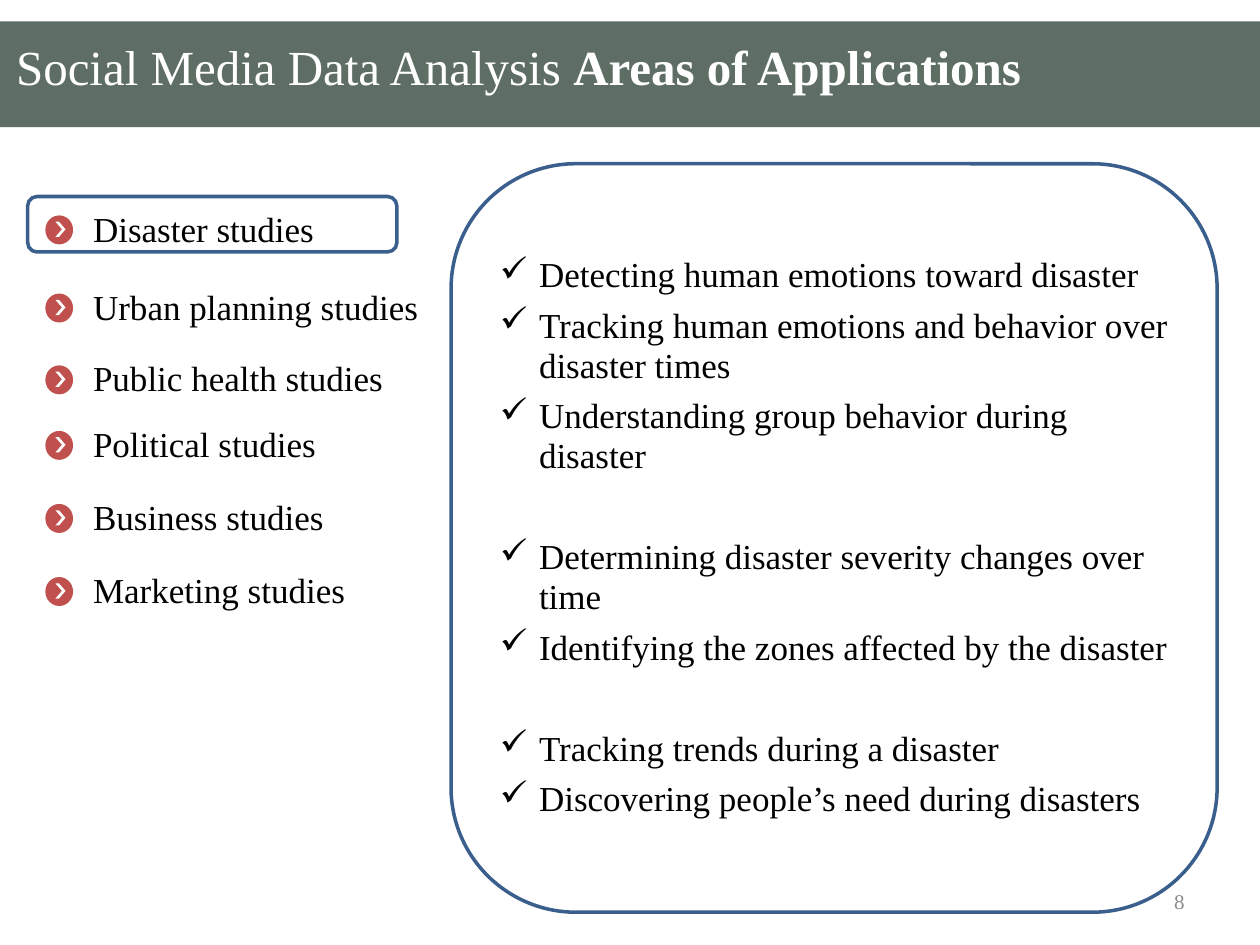
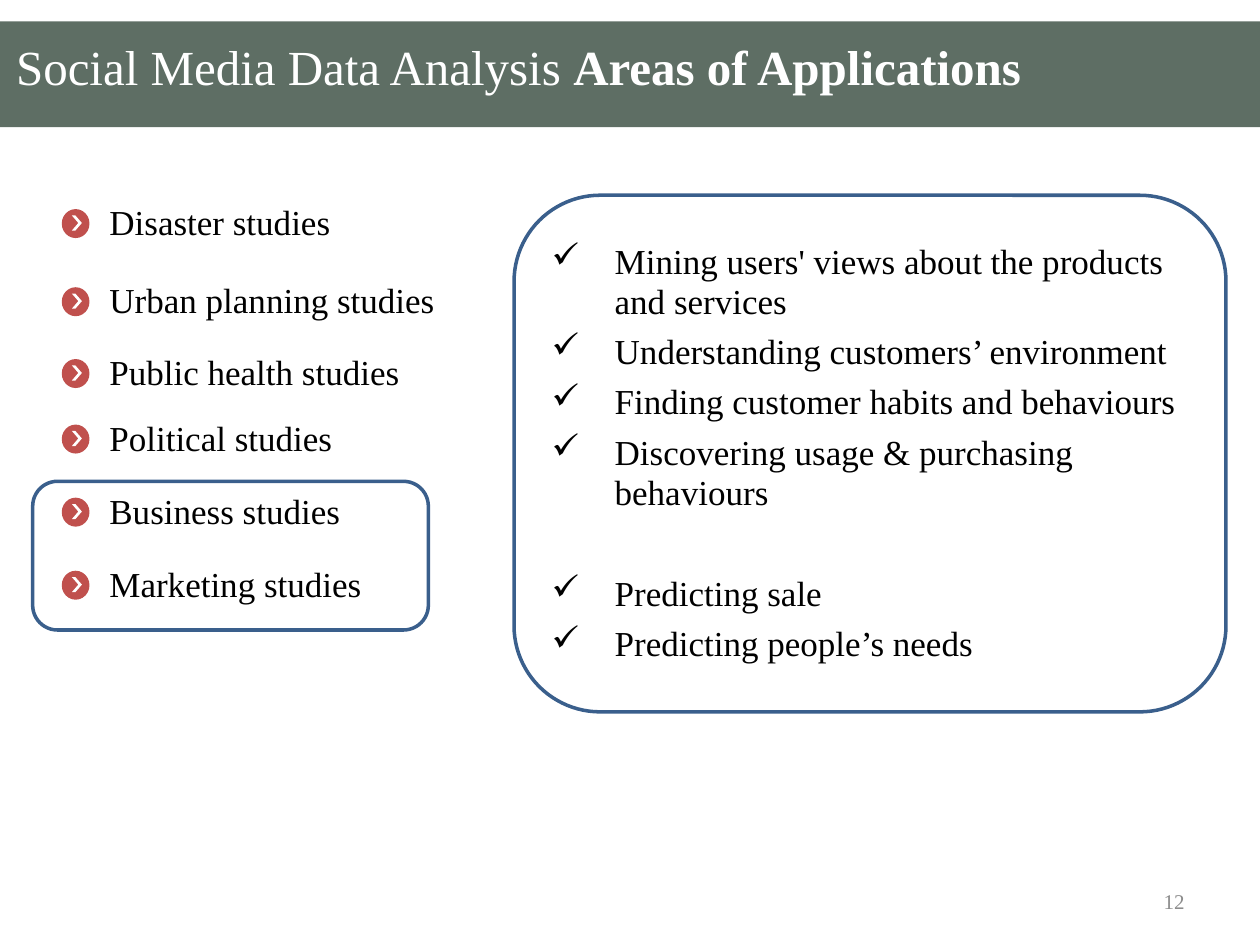
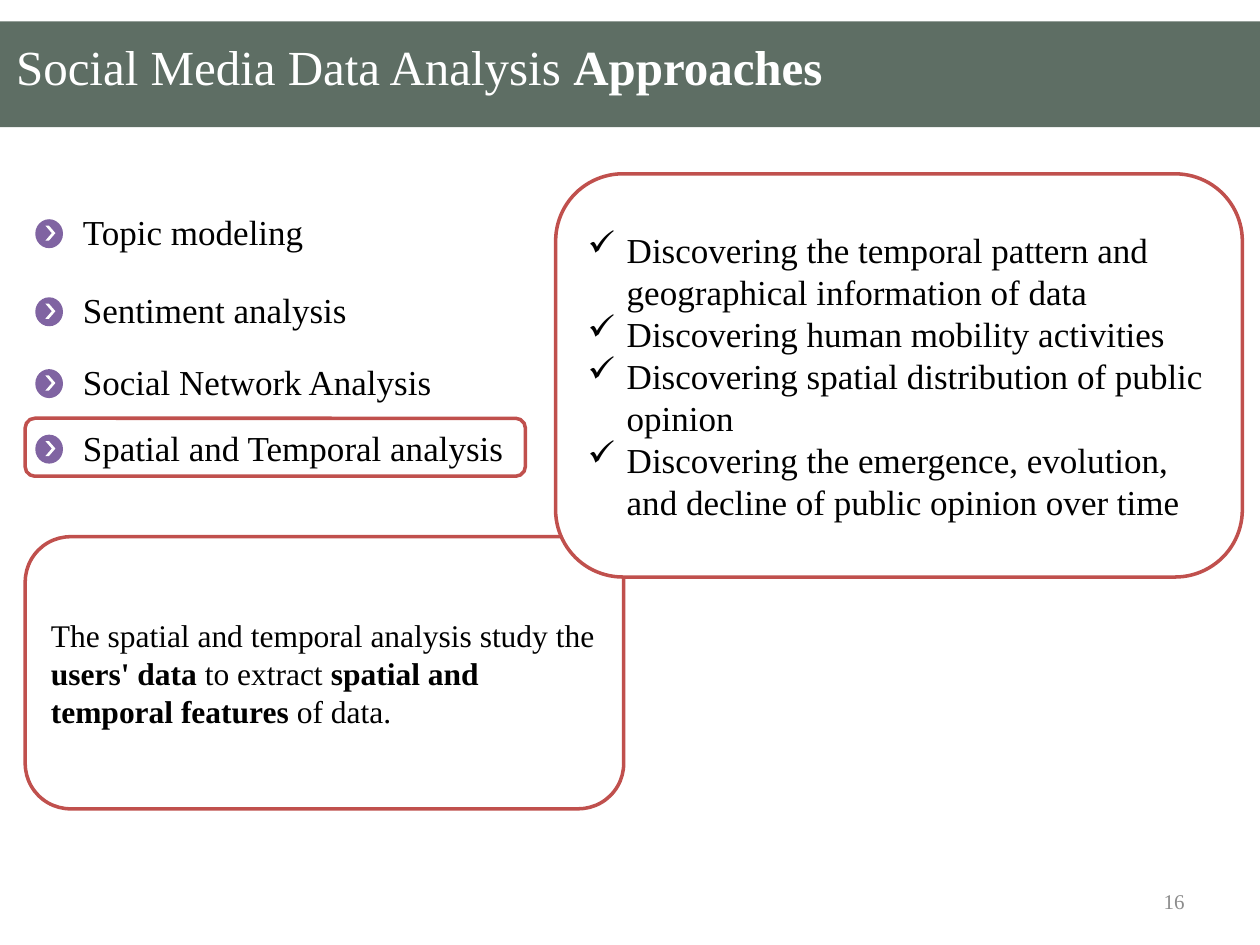
from lxml import etree
from pptx import Presentation
from pptx.dml.color import RGBColor
from pptx.enum.shapes import MSO_SHAPE as SHAPE
from pptx.enum.text import MSO_ANCHOR as ANCHOR, PP_ALIGN as ALIGN
from pptx.oxml.ns import qn
from pptx.util import Inches, Pt

# Shared look
FONT = "Times New Roman"
GREEN, BLUE, RED, PURPLE = "5E6E64", "3A5F8C", "C0504D", "8064A2"
WHITE, BLACK, GREY = "FFFFFF", "000000", "8C8C8C"
ROW_OFFSETS = [0, 0.62, 1.19, 1.71, 2.29, 2.87]
SPACE_AFTER, GROUP_SPACE = 6, 35

STUDIES = ["Disaster studies", "Urban planning studies", "Public health studies",
           "Political studies", "Business studies", "Marketing studies"]
APPROACHES = ["Topic modeling", "Sentiment analysis", "Social Network Analysis",
              "Spatial and Temporal analysis"]

# Each inner list of points is a group, set apart by a wider gap
PAGES = [
    dict(number=8, subject="Areas of Applications", topics=STUDIES,
         topics_at=(0.64, 1.59), marker=RED, outline=BLUE,
         highlight=(0.22, 1.56, 2.93, 0.44), panel=(3.58, 1.3, 6.08, 5.94),
         indent=0.31, spaced=True, definition=None,
         points=[["Detecting human emotions toward disaster",
                  "Tracking human emotions and behavior over disaster times",
                  "Understanding group behavior during disaster"],
                 ["Determining disaster severity changes over time",
                  "Identifying the zones affected by the disaster"],
                 ["Tracking trends during a disaster",
                  "Discovering people’s need during disasters"]]),
    dict(number=12, subject="Areas of Applications", topics=STUDIES,
         topics_at=(0.77, 1.54), marker=RED, outline=BLUE,
         highlight=(0.26, 3.82, 3.14, 1.18), panel=(4.08, 1.55, 5.65, 4.1),
         indent=0.5, spaced=True, definition=None,
         points=[["Mining users' views about the products and services",
                  "Understanding customers’ environment",
                  "Finding customer habits and behaviours",
                  "Discovering usage & purchasing behaviours"],
                 ["Predicting sale", "Predicting people’s needs"]]),
    dict(number=16, subject="Approaches", topics=APPROACHES,
         topics_at=(0.56, 1.62), marker=PURPLE, outline=RED,
         highlight=(0.2, 3.32, 3.97, 0.46), panel=(4.41, 1.38, 5.45, 3.2),
         indent=0.31, spaced=False,
         definition=[("The spatial and temporal analysis study the ", False),
                     ("users' data ", True), ("to extract ", False),
                     ("spatial and temporal features", True), (" of data.", False)],
         points=[["Discovering the temporal pattern and geographical information of data",
                  "Discovering human mobility activities",
                  "Discovering spatial distribution of public opinion",
                  "Discovering the emergence, evolution, and decline of public opinion over time"]]),
]


def add_box(slide, kind, at, fill=None, line=None):
    """Add a preset shape, or a text box when kind is None."""
    place = [Inches(length) for length in at]
    if kind is None:
        box = slide.shapes.add_textbox(*place)
    else:
        box = slide.shapes.add_shape(kind, *place)
        box.shadow.inherit = False
        if fill:
            box.fill.solid()
            box.fill.fore_color.rgb = RGBColor.from_string(fill)
        else:
            box.fill.background()
        if line:
            box.line.color.rgb = RGBColor.from_string(line)
            box.line.width = Pt(2)
        else:
            box.line.fill.background()
    box.text_frame.word_wrap = True
    box.text_frame.vertical_anchor = ANCHOR.MIDDLE
    return box


def write(paragraph, pieces, size, color=BLACK, align=ALIGN.LEFT):
    """Write (text, bold) pieces into a paragraph."""
    paragraph.alignment = align
    for text, bold in pieces:
        run = paragraph.add_run()
        run.text = text
        run.font.name, run.font.size, run.font.bold = FONT, Pt(size), bold
        run.font.color.rgb = RGBColor.from_string(color)


deck = Presentation()
deck.slide_width, deck.slide_height = Inches(10), Inches(7.5)

for page in PAGES:
    slide = deck.slides.add_slide(deck.slide_layouts[6])

    # Definition, partly behind the panel
    if page["definition"]:
        definition = add_box(slide, SHAPE.ROUNDED_RECTANGLE, (0.2, 4.26, 4.75, 2.16),
                             WHITE, page["outline"])
        write(definition.text_frame.paragraphs[0], page["definition"], 18)

    # Page number
    number = add_box(slide, None, (7.17, 6.95, 2.33, 0.4))
    write(number.text_frame.paragraphs[0], [(str(page["number"]), False)], 12, GREY, ALIGN.RIGHT)

    # Title band
    add_box(slide, SHAPE.RECTANGLE, (0, 0.17, 10, 0.84), GREEN)
    title = add_box(slide, None, (0.03, 0.2, 9.94, 0.64))
    write(title.text_frame.paragraphs[0],
          [("Social Media Data Analysis ", False), (page["subject"], True)], 28, WHITE)

    # Topics with round markers
    left, first_top = page["topics_at"]
    for topic, offset in zip(page["topics"], ROW_OFFSETS):
        top = first_top + offset
        add_box(slide, SHAPE.OVAL, (left - 0.28, top + 0.12, 0.22, 0.23), page["marker"])
        chevron = add_box(slide, SHAPE.CHEVRON, (left - 0.2, top + 0.17, 0.08, 0.12), WHITE)
        chevron.adjustments[0] = 0.65
        width = 3.81 if len(topic) > 25 else 3.14
        label = add_box(slide, None, (left, top, width, 0.44))
        write(label.text_frame.paragraphs[0], [(topic, False)], 20)

    # Panel of checked points
    panel = add_box(slide, SHAPE.ROUNDED_RECTANGLE, page["panel"], WHITE, page["outline"])
    paragraph = None
    for group in page["points"]:
        if paragraph is not None:
            paragraph.space_after = Pt(GROUP_SPACE)
        for point in group:
            if paragraph is None:
                paragraph = panel.text_frame.paragraphs[0]
            else:
                paragraph = panel.text_frame.add_paragraph()
            write(paragraph, [(point, False)], 20)
            if page["spaced"]:
                paragraph.line_spacing = 0.95
                paragraph.space_after = Pt(SPACE_AFTER)
            properties = paragraph._p.get_or_add_pPr()
            properties.set("marL", str(Inches(page["indent"])))
            properties.set("indent", str(-Inches(page["indent"])))
            etree.SubElement(properties, qn("a:buChar")).set("char", "✓")

    # Frame round the current topic
    add_box(slide, SHAPE.ROUNDED_RECTANGLE, page["highlight"], line=page["outline"])

deck.save("out.pptx")
